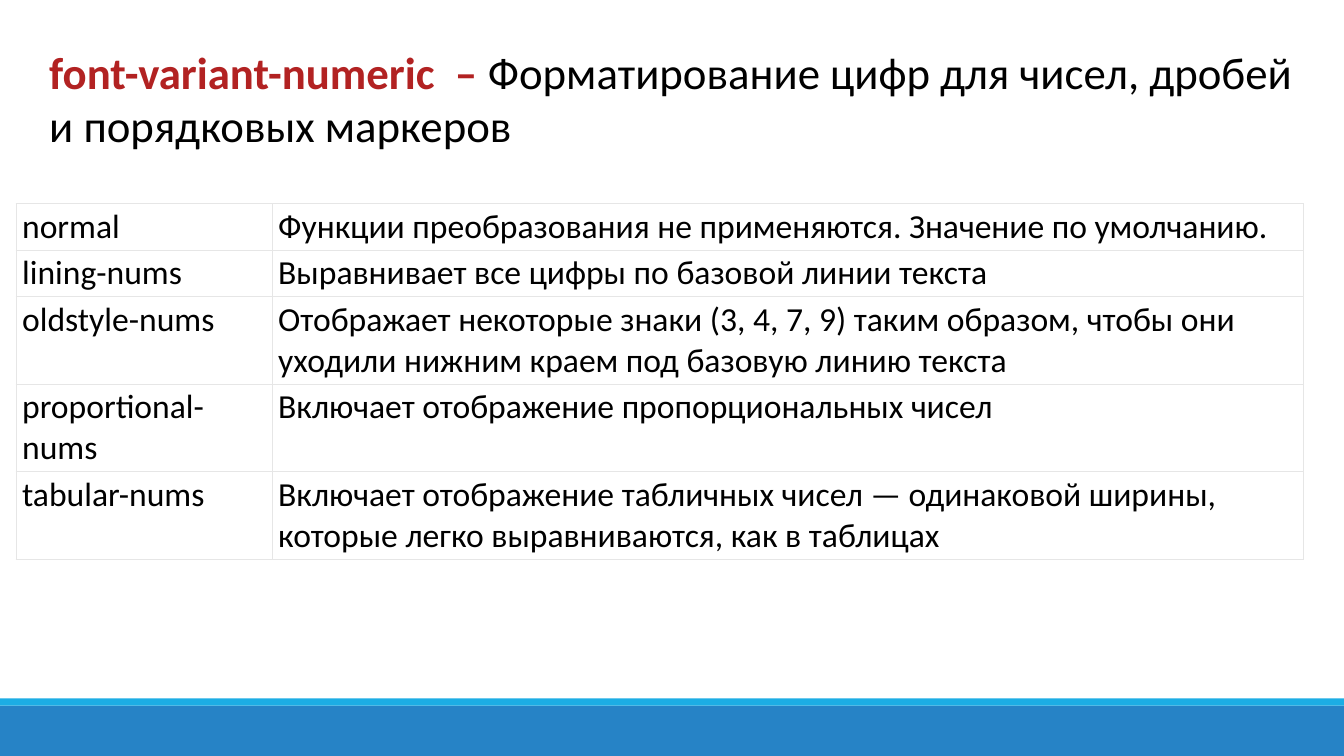
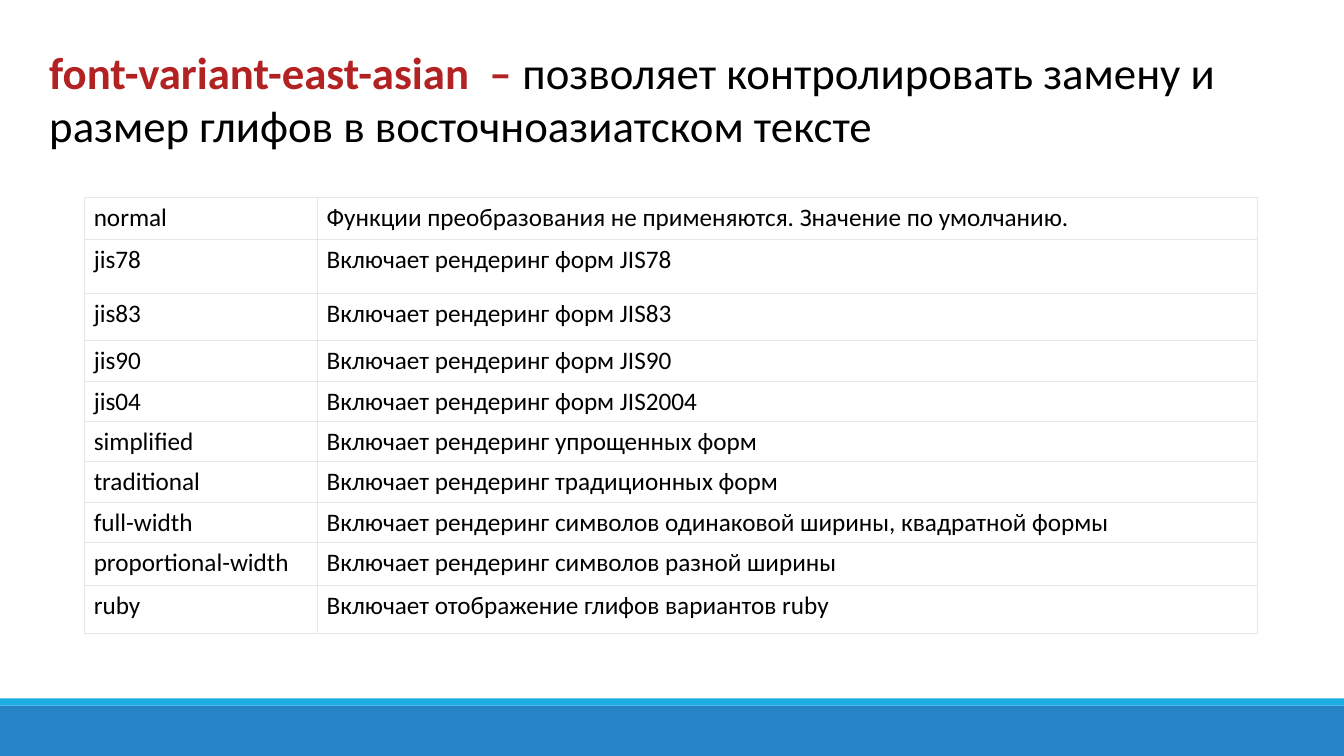
from dataclasses import dataclass

from lxml.etree import SubElement
from pptx import Presentation
from pptx.dml.color import RGBColor
from pptx.enum.shapes import MSO_SHAPE
from pptx.enum.text import MSO_AUTO_SIZE
from pptx.oxml.ns import qn
from pptx.util import Inches, Pt

FONT = "Calibri"
BLACK = "000000"
WHITE = "FFFFFF"
TITLE_RED = "B22222"
BORDER_GREY = "E6E6E6"
SLIDE_WIDTH = 13.33
SLIDE_HEIGHT = 7.5


@dataclass(frozen=True)
class Band:
    top: float
    height: float
    color: str


@dataclass(frozen=True)
class ValueTable:
    left: float
    top: float
    col_widths: tuple[float, float]
    row_heights: tuple[float, ...]
    size: int
    margin_x: float
    margin_y: float
    rows: tuple[tuple[str, str], ...]


@dataclass(frozen=True)
class PropertySlide:
    name: str
    description: str
    table: ValueTable


BANDS = (Band(7, 0.5, "2683C6"), Band(6.93, 0.07, "1CADE4"))

SLIDES = (
    PropertySlide(
        "font-variant-numeric  – ",
        "Форматирование цифр для чисел, дробей и порядковых маркеров",
        ValueTable(
            left=0.16,
            top=2.02,
            col_widths=(2.54, 10.23),
            row_heights=(0.46, 0.46, 0.87, 0.87, 0.87),
            size=24,
            margin_x=0.06,
            margin_y=0.03,
            rows=(
                ("normal", "Функции преобразования не применяются. Значение по умолчанию."),
                ("lining-nums", "Выравнивает все цифры по базовой линии текста"),
                (
                    "oldstyle-nums",
                    "Отображает некоторые знаки (3, 4, 7, 9) таким образом, "
                    "чтобы они уходили нижним краем под базовую линию текста",
                ),
                ("proportional-nums", "Включает отображение пропорциональных чисел"),
                (
                    "tabular-nums",
                    "Включает отображение табличных чисел — одинаковой ширины, "
                    "которые легко выравниваются, как в таблицах",
                ),
            ),
        ),
    ),
    PropertySlide(
        "font-variant-east-asian  – ",
        "позволяет контролировать замену и размер глифов в восточноазиатском тексте",
        ValueTable(
            left=0.84,
            top=1.96,
            col_widths=(2.31, 9.32),
            row_heights=(0.42, 0.53, 0.47, 0.4, 0.4, 0.39, 0.39, 0.39, 0.43, 0.47),
            size=18,
            margin_x=0.09,
            margin_y=0.05,
            rows=(
                ("normal", "Функции преобразования не применяются. Значение по умолчанию."),
                ("jis78", "Включает рендеринг форм JIS78"),
                ("jis83", "Включает рендеринг форм JIS83"),
                ("jis90", "Включает рендеринг форм JIS90"),
                ("jis04", "Включает рендеринг форм JIS2004"),
                ("simplified", "Включает рендеринг упрощенных форм"),
                ("traditional", "Включает рендеринг традиционных форм"),
                ("full-width", "Включает рендеринг символов одинаковой ширины, квадратной формы"),
                ("proportional-width", "Включает рендеринг символов разной ширины"),
                ("ruby", "Включает отображение глифов вариантов ruby"),
            ),
        ),
    ),
)


def rgb(color: str) -> RGBColor:
    return RGBColor.from_string(color)


def format_run(r, size: int, color: str, bold: bool = False) -> None:
    r.font.name = FONT
    r.font.size = Pt(size)
    r.font.bold = bold
    r.font.color.rgb = rgb(color)


def add_band(s, band: Band) -> None:
    sp = s.shapes.add_shape(
        MSO_SHAPE.RECTANGLE, 0, Inches(band.top), Inches(SLIDE_WIDTH), Inches(band.height)
    )
    sp.shadow.inherit = False
    sp.fill.solid()
    sp.fill.fore_color.rgb = rgb(band.color)
    sp.line.fill.background()


def add_title(s, name: str, description: str) -> None:
    sp = s.shapes.add_textbox(Inches(0.39), Inches(0.39), Inches(12.54), Inches(1.18))
    tf = sp.text_frame
    tf.word_wrap = True
    tf.auto_size = MSO_AUTO_SIZE.SHAPE_TO_FIT_TEXT
    p = tf.paragraphs[0]
    for text, color, bold in ((name, TITLE_RED, True), (description, BLACK, False)):
        r = p.add_run()
        r.text = text
        format_run(r, 32, color, bold)


def set_borders(cell, color: str, width: float) -> None:
    tc_pr = cell._tc.get_or_add_tcPr()
    for side in ("a:lnL", "a:lnR", "a:lnT", "a:lnB"):
        ln = SubElement(tc_pr, qn(side), w=str(Pt(width)))
        fill = SubElement(ln, qn("a:solidFill"))
        SubElement(fill, qn("a:srgbClr"), val=color)


def fill_cell(cell, text: str, spec: ValueTable) -> None:
    cell.margin_left = cell.margin_right = Inches(spec.margin_x)
    cell.margin_top = cell.margin_bottom = Inches(spec.margin_y)
    set_borders(cell, BORDER_GREY, 0.75)
    cell.fill.solid()
    cell.fill.fore_color.rgb = rgb(WHITE)
    cell.text_frame.text = text
    format_run(cell.text_frame.paragraphs[0].runs[0], spec.size, BLACK)


def add_value_table(s, spec: ValueTable) -> None:
    table = s.shapes.add_table(
        len(spec.rows),
        len(spec.col_widths),
        Inches(spec.left),
        Inches(spec.top),
        Inches(sum(spec.col_widths)),
        Inches(sum(spec.row_heights)),
    ).table
    table.first_row = False
    table.horz_banding = False
    for column, width in zip(table.columns, spec.col_widths):
        column.width = Inches(width)
    for row, height, texts in zip(table.rows, spec.row_heights, spec.rows):
        row.height = Inches(height)
        for cell, text in zip(row.cells, texts):
            fill_cell(cell, text, spec)


def main() -> None:
    prs = Presentation()
    prs.slide_width = Inches(SLIDE_WIDTH)
    prs.slide_height = Inches(SLIDE_HEIGHT)
    for content in SLIDES:
        s = prs.slides.add_slide(prs.slide_layouts[6])
        for band in BANDS:
            add_band(s, band)
        add_title(s, content.name, content.description)
        add_value_table(s, content.table)
    prs.save("out.pptx")


if __name__ == "__main__":
    main()
